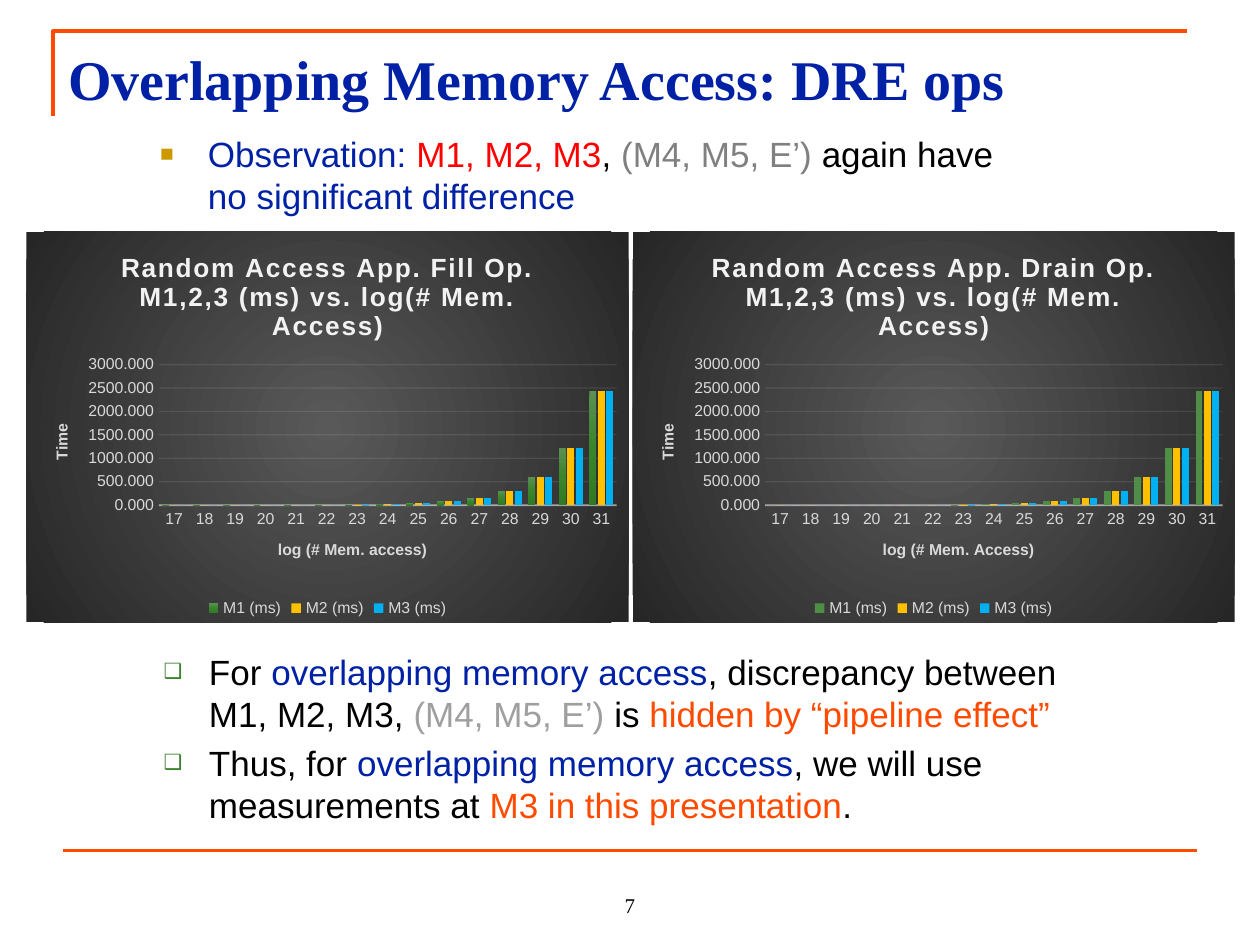
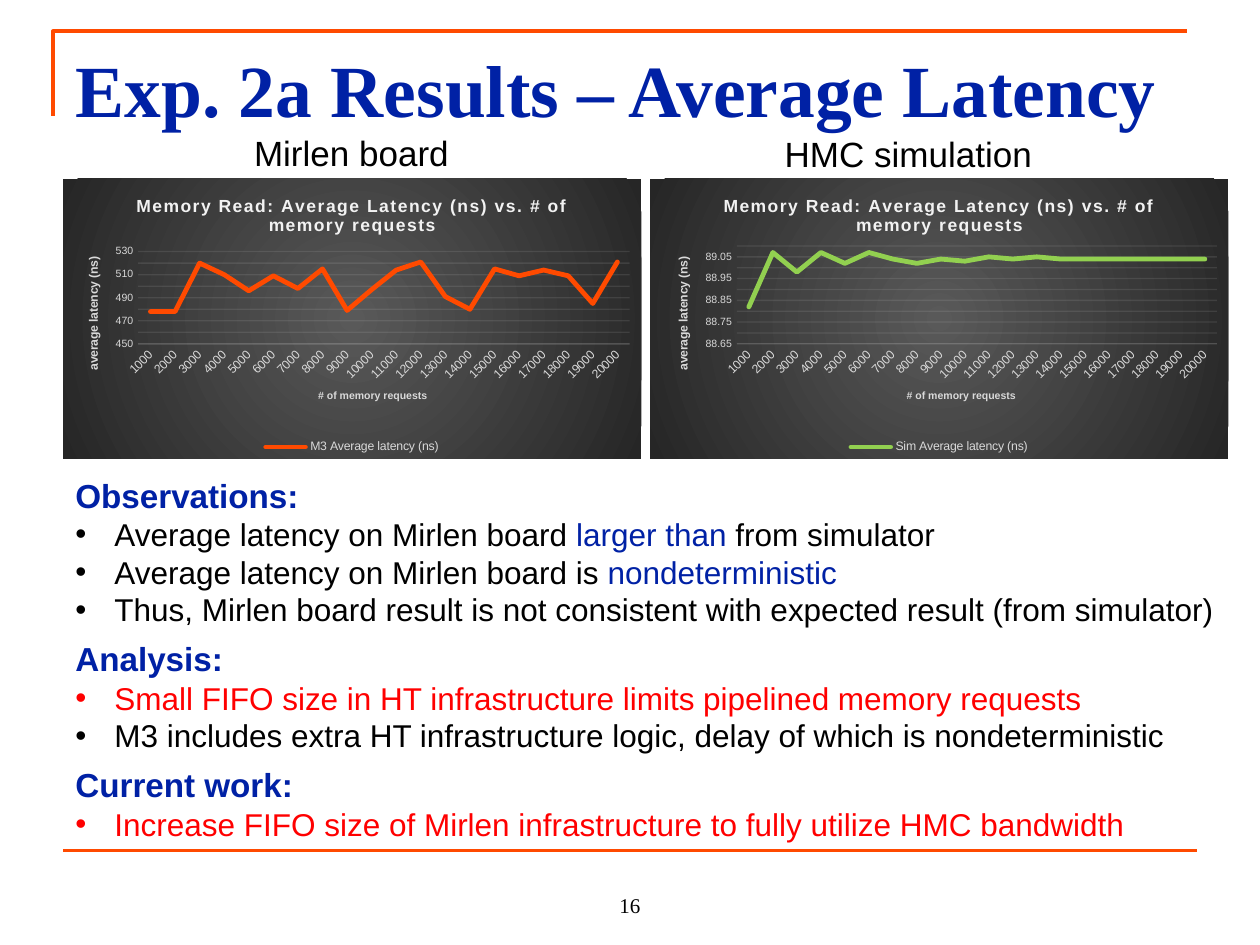
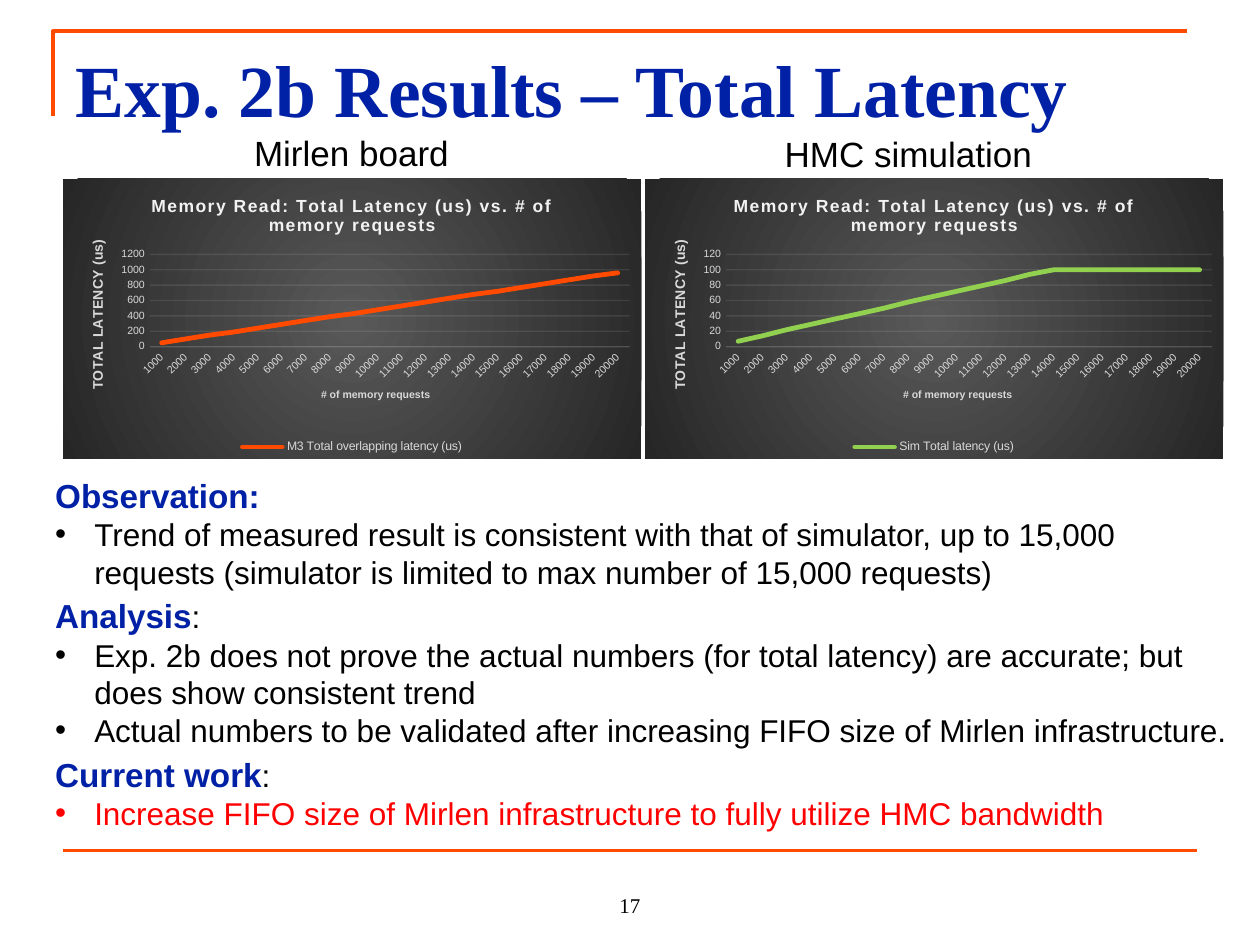
from dataclasses import dataclass
from typing import NamedTuple, Optional

from lxml.etree import SubElement as Sub
from pptx import Presentation
from pptx.chart.data import CategoryChartData as Data
from pptx.dml.color import RGBColor
from pptx.enum.chart import XL_CHART_TYPE as Kind, XL_LEGEND_POSITION as Spot, XL_TICK_MARK as Tick
from pptx.enum.text import MSO_ANCHOR as Anchor, MSO_AUTO_SIZE as Fit, PP_ALIGN as Align
from pptx.oxml import parse_xml as to_xml
from pptx.oxml.ns import nsdecls, qn
from pptx.util import Inches, Pt

# Shared look
BLUE, ORANGE, RED, BLACK = "0021A5", "FF4A00", "FF0000", "000000"
GOLD, GREEN, PALE, WHITE = "CC9900", "3B812F", "D9D9D9", "F2F2F2"
LIME, AMBER, SKY = "92D050", "FFC000", "00B0F0"
SANS, SERIF = "Arial", "Times New Roman"


class Run(NamedTuple):
    text: str
    color: str = BLACK
    size: float = 20
    bold: bool = False


class Bullet(NamedTuple):
    char: str
    left: float
    hang: float
    color: Optional[str] = None
    scale: int = 100


class Para(NamedTuple):
    runs: list
    bullet: Optional[Bullet] = None
    gap: float = 0
    align: Align = Align.LEFT


class Series(NamedTuple):
    name: str
    vals: list
    color: str


@dataclass
class Axis:
    title: str
    size: float = 9
    ticks: float = 9


@dataclass
class Plot:
    kind: Kind
    box: tuple
    title: str
    cats: list
    rows: list
    x: Axis
    y: Axis
    scale: tuple  # low, high, step
    inner: tuple  # plot area as shares of the chart
    size: float = 10
    key: float = 7
    fmt: str = "General"
    axis_pt: float = 0.75
    axis_alpha: int = 10
    tilt: bool = False


SQUARE = Bullet("■", 0.38, 0.38, GOLD, 65)
HOLLOW = Bullet("❑", 0.73, 0.36, GREEN, 60)
DOT = Bullet("•", 0.31, 0.31)


def rgb(code: str) -> RGBColor:
    return RGBColor.from_string(code)


def span(*nums: float) -> list:
    return [Inches(n) for n in nums]


# Text
def style(font, size: float, color: str, bold: bool = False, face: str = SANS) -> None:
    font.size, font.bold, font.name = Pt(size), bold, face
    font.color.rgb = rgb(color)


def put(par, text: str, *, size: float = 20, color: str = BLACK, bold: bool = False,
        face: str = SANS, track: int = 0) -> None:
    for i, part in enumerate(text.split("\n")):
        if i:
            par.add_line_break()
        if part:
            run = par.add_run()
            run.text = part
            style(run.font, size, color, bold, face)
            if track:
                run.font._element.set("spc", str(track))


def mark(par, item: Optional[Bullet]) -> None:
    props = par._p.get_or_add_pPr()
    if not item:
        props.set("marL", "0")
        props.set("indent", "0")
        Sub(props, qn("a:buNone"))
        return
    props.set("marL", str(Inches(item.left)))
    props.set("indent", str(-Inches(item.hang)))
    if item.color:
        Sub(Sub(props, qn("a:buClr")), qn("a:srgbClr"), val=item.color)
    Sub(props, qn("a:buSzPct"), val=str(item.scale * 1000))
    Sub(props, qn("a:buFont"), typeface=SANS)
    Sub(props, qn("a:buChar"), char=item.char)


def fill(shape, box: tuple, paras: list, face: str = SANS, anchor: Anchor = Anchor.TOP) -> None:
    shape.left, shape.top, shape.width, shape.height = span(*box)
    frame = shape.text_frame
    frame.word_wrap, frame.auto_size, frame.vertical_anchor = True, Fit.NONE, anchor
    for i, para in enumerate(paras):
        par = frame.add_paragraph() if i else frame.paragraphs[0]
        mark(par, para.bullet)
        par.alignment, par.space_before = para.align, Pt(para.gap)
        for run in para.runs:
            put(par, run.text, size=run.size, color=run.color, bold=run.bold, face=face)


def note(slide, box: tuple, paras: list, **look) -> None:
    fill(slide.shapes.add_textbox(*span(*box)), box, paras, **look)


# Slide frame
def base(deck, title: str, box: tuple, size: float, page: int):
    slide = deck.slides.add_slide(deck.slide_layouts[1])
    pen = slide.shapes.build_freeform(*span(0.42, 0.92), scale=1.0)
    pen.add_line_segments([span(0.42, 0.25), span(9.42, 0.25)], close=False)
    edge = pen.convert_to_shape()
    edge.fill.background()
    edge.shadow.inherit = False
    rule = slide.shapes.add_connector(1, *span(0.5, 6.75, 9.5, 6.75))
    Sub(rule._element.spPr, qn("a:effectLst"))
    for item in (edge, rule):
        item.line.color.rgb, item.line.width = rgb(ORANGE), Pt(2.25)
    fill(slide.shapes.title, box, [Para([Run(title, BLUE, size, True)])], face=SERIF)
    note(slide, (4, 6.83, 2, 0.5), [Para([Run(str(page), size=12)], align=Align.CENTER)],
         face=SERIF, anchor=Anchor.BOTTOM)
    return slide


# Charts
def blend(stops: list, tail: str):
    marks = "".join(f'<a:gs pos="{p * 1000}"><a:srgbClr val="{c}"/></a:gs>' for p, c in stops)
    return to_xml(f'<a:gradFill {nsdecls("a")} rotWithShape="1"><a:gsLst>{marks}</a:gsLst>{tail}</a:gradFill>')


def fade(node, share: int) -> None:
    for tint in node.iter(qn("a:srgbClr")):
        Sub(tint, qn("a:alpha"), val=str(share * 1000))


def label(axis, plan: Axis) -> None:
    par = axis.axis_title.text_frame.paragraphs[0]
    put(par, plan.title, size=plan.size, color=PALE, bold=True)
    style(axis.tick_labels.font, plan.ticks, PALE)
    axis.major_tick_mark = axis.minor_tick_mark = Tick.NONE


def pale_line(line, width: float) -> None:
    line.color.rgb, line.width = rgb(WHITE), Pt(width)


def draw(slide, plan: Plot):
    data = Data(number_format=plan.fmt)
    data.categories = plan.cats
    for row in plan.rows:
        data.add_series(row.name, row.vals)
    chart = slide.shapes.add_chart(plan.kind, *span(*plan.box), data).chart
    style(chart.font, 10, BLACK)
    chart.has_title = True
    put(chart.chart_title.text_frame.paragraphs[0], plan.title,
        size=plan.size, color=WHITE, bold=True, track=100)
    chart.chart_title.include_in_layout = False
    chart.has_legend = True
    chart.legend.position, chart.legend.include_in_layout = Spot.BOTTOM, False
    style(chart.legend.font, plan.key, PALE)

    # Axes
    cat, val = chart.category_axis, chart.value_axis
    label(cat, plan.x)
    label(val, plan.y)
    val.minimum_scale, val.maximum_scale, val.major_unit = plan.scale
    val.tick_labels.number_format, val.tick_labels.number_format_is_linked = plan.fmt, False
    val.format.line.fill.background()
    pale_line(val.major_gridlines.format.line, 0.75)
    pale_line(cat.format.line, plan.axis_pt)
    root = chart.element
    fade(root.find(".//" + qn("c:majorGridlines")), 10)
    base_axis = root.find(".//" + qn("c:catAx"))
    fade(base_axis.find(qn("c:spPr")), plan.axis_alpha)
    if plan.tilt:
        base_axis.find(qn("c:txPr")).find(qn("a:bodyPr")).set("rot", "-2700000")

    # Series
    group = chart.plots[0]
    group.vary_by_categories = False
    for ser, row in zip(group.series, plan.rows):
        if plan.kind == Kind.LINE:
            ser.smooth = False
            ser.format.line.color.rgb, ser.format.line.width = rgb(row.color), Pt(2.75)
            root.find(".//" + qn("c:ser")).find(qn("c:spPr")).find(qn("a:ln")).set("cap", "rnd")
        else:
            ser.format.fill.solid()
            ser.format.fill.fore_color.rgb = rgb(row.color)
            group.gap_width, group.overlap = 100, -24

    # Backdrop and plot area
    back = to_xml(f'<c:spPr {nsdecls("c", "a")}><a:ln><a:noFill/></a:ln></c:spPr>')
    back.insert(0, blend([(0, "595959"), (100, "262626")],
                         '<a:path path="circle"><a:fillToRect l="50000" t="50000" r="50000" b="50000"/></a:path>'))
    root.find(qn("c:chart")).addnext(back)
    area = root.find(".//" + qn("c:plotArea"))
    for old in area.findall(qn("c:layout")):
        area.remove(old)
    spot = to_xml(f'<c:layout {nsdecls("c")}/>')
    hand = Sub(spot, qn("c:manualLayout"))
    parts = [("layoutTarget", "inner"), ("xMode", "edge"), ("yMode", "edge"), *zip("xywh", plan.inner)]
    for tag, value in parts:
        Sub(hand, qn("c:" + tag), val=str(value))
    area.insert(0, spot)
    return chart


# Slide with the fill and drain times
def ops(deck) -> None:
    slide = base(deck, "Overlapping Memory Access: DRE ops", (0.44, 0.3, 9.72, 0.87), 32, 7)
    fill(slide.placeholders[1], (1.17, 1, 7.62, 0.9), [Para([
        Run("Observation: ", BLUE), Run("M1, M2, M3", RED), Run(", "),
        Run("(M4, M5, E’)", "808080"), Run(" again have \n"),
        Run("no significant difference", BLUE)], SQUARE)])
    low = [0] * 6 + [10, 20, 40, 80, 150, 300, 610, 1220]
    for left, name, word in ((0.21, "Fill", "access"), (5.02, "Drain", "Access")):
        rows = [Series(f"M{i} (ms)", low + [top], color) for i, top, color in
                ((1, 2440, "508D47"), (2, 2440, AMBER), (3, 2430, SKY))]
        chart = draw(slide, Plot(
            Kind.COLUMN_CLUSTERED, (left, 1.84, 4.78, 3.1),
            f"Random Access App. {name} Op. M1,2,3 (ms) vs. log(# Mem. Access)",
            [str(n) for n in range(17, 32)], rows, Axis(f"log (# Mem. {word})"), Axis("Time"),
            (0, 3000, 500), (0.22, 0.34, 0.76, 0.36), size=15, key=9, fmt="0.000",
            axis_pt=1, axis_alpha=54))
        if name == "Fill":
            look = chart.element.find(".//" + qn("c:ser")).find(qn("c:spPr"))
            look.replace(look.find(qn("a:solidFill")), blend(
                [(0, "5B9055"), (50, "38852B"), (100, "2F7A22")], '<a:lin ang="5400000" scaled="0"/>'))
    over = Run("overlapping memory access", BLUE)
    note(slide, (0.83, 5.11, 8.11, 1.59), [
        Para([Run("For "), over, Run(", discrepancy between M1, M2, M3, "),
              Run("(M4, M5, E’) ", "9F9F9F"), Run("is "),
              Run("hidden by “pipeline effect”", ORANGE)], HOLLOW),
        Para([Run("Thus, for "), over, Run(", we will use measurements at "),
              Run("M3 in this presentation", ORANGE), Run(".")], HOLLOW, 4)])


# Slides that set the board beside the simulator
def head(text: str, gap: float = 0, tail: str = "") -> Para:
    return Para([Run(text, BLUE, 19, True), Run(tail, size=18)], gap=gap)


def point(*parts) -> Para:
    return Para([Run(text, color, 18) for text, color in parts], DOT)


def duel(deck, title: str, page: int, plots: list, box: tuple, paras: list) -> None:
    slide = base(deck, title, (0.5, 0.3, 9, 1.03), 42, page)
    fill(slide.placeholders[1], (1.16, 0.99, 3.26, 0.55),
         [Para([Run("Mirlen board")], align=Align.CENTER)])
    for plan in plots:
        draw(slide, plan)
    note(slide, (5.58, 1, 3.26, 0.55), [Para([Run("HMC simulation")], align=Align.CENTER)])
    note(slide, box, paras)


def trend(left: float, what: str, row: Series, ticks: float, y: Axis, scale: tuple,
          inner: tuple, fmt: str = "General") -> Plot:
    return Plot(Kind.LINE, (left, 1.42, 4.59, 2.22), f"Memory Read: {what} vs. # of memory requests",
                [str(n * 1000) for n in range(1, 21)], [row],
                Axis("# of memory requests", 6, ticks), y, scale, inner, fmt=fmt, tilt=True)


def main() -> None:
    deck = Presentation()
    deck.slide_width, deck.slide_height = span(10, 7.5)
    ops(deck)
    plan = point(("Increase FIFO size of Mirlen infrastructure to fully utilize HMC bandwidth", RED))

    # Average latency
    what, side = "Average Latency (ns)", Axis("average latency (ns)", 7, 6)
    board = [478, 478, 520, 510, 496, 509, 498, 515, 479, 497,
             514, 521, 491, 480, 515, 509, 514, 509, 485, 521]
    model = [88.82, 89.07, 88.98, 89.07, 89.02, 89.07, 89.04, 89.02, 89.04, 89.03,
             89.05, 89.04, 89.05] + [89.04] * 7
    duel(deck, "Exp. 2a Results – Average Latency", 16, [
        trend(0.5, what, Series("M3 Average latency (ns)", board, ORANGE), 7, side,
              (450, 530, 10), (0.13, 0.26, 0.85, 0.33)),
        trend(5.16, what, Series("Sim Average latency (ns)", model, LIME), 7, side,
              (88.65, 89.1, 0.05), (0.15, 0.24, 0.83, 0.35), "0.00"),
    ], (0.5, 3.72, 9.25, 3.35), [
        head("Observations:"),
        point(("Average latency on Mirlen board ", BLACK), ("larger than ", BLUE), ("from simulator", BLACK)),
        point(("Average latency on Mirlen board is ", BLACK), ("nondeterministic", BLUE)),
        point(("Thus, Mirlen board result is not consistent with expected result (from simulator)", BLACK)),
        head("Analysis:", 6),
        point(("Small FIFO size in HT infrastructure limits pipelined memory requests", RED)),
        point(("M3 includes extra HT infrastructure logic, delay of which is nondeterministic", BLACK)),
        head("Current work:", 6), plan])

    # Total latency
    what, side = "Total Latency (us)", Axis("TOTAL LATENCY (us)", 8, 6)
    board = [50, 100, 150, 190, 240, 290, 340, 390, 430, 480,
             530, 580, 630, 680, 720, 770, 820, 870, 920, 960]
    model = [7, 14, 22, 29, 36, 43, 50, 58, 65, 72, 79, 86, 94] + [100] * 7
    duel(deck, "Exp. 2b Results – Total Latency", 17, [
        trend(0.5, what, Series("M3 Total overlapping latency (us)", board, ORANGE), 6, side,
              (0, 1200, 200), (0.15, 0.27, 0.83, 0.33)),
        trend(5.12, what, Series("Sim Total latency (us)", model, LIME), 6, side,
              (0, 120, 20), (0.14, 0.27, 0.84, 0.33)),
    ], (0.34, 3.72, 9.5, 3.26), [
        head("Observation:"),
        point(("Trend of measured result is consistent with that of simulator, up to 15,000 requests "
               "(simulator is limited to max number of 15,000 requests)", BLACK)),
        head("Analysis", 3, ":"),
        point(("Exp. 2b does not prove the actual numbers (for total latency) are accurate; "
               "but does show consistent trend", BLACK)),
        point(("Actual numbers to be validated after increasing FIFO size of Mirlen infrastructure.", BLACK)),
        head("Current work", 3, ":"), plan])
    deck.save("out.pptx")


if __name__ == "__main__":
    main()
